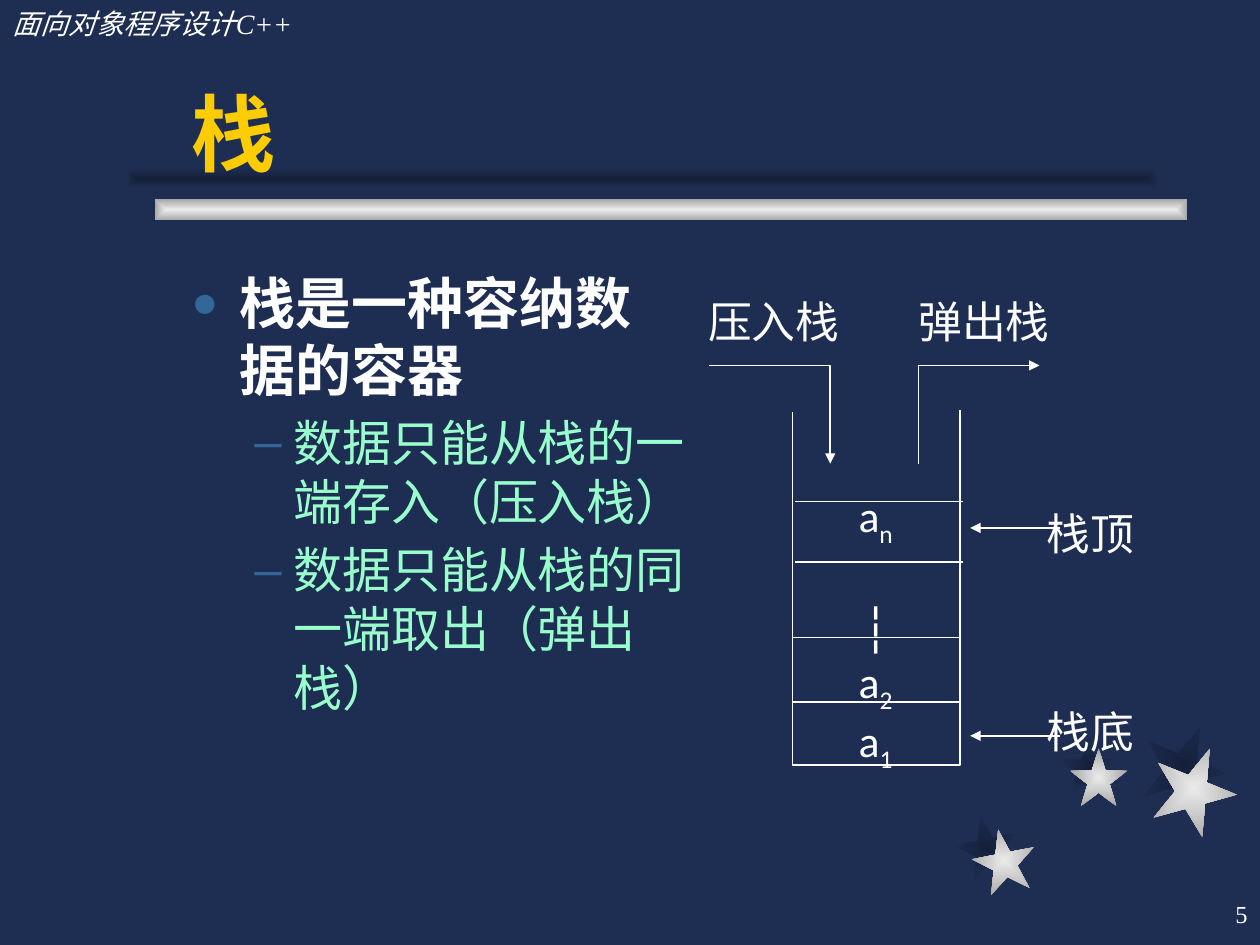
import pptx
import pptx.util
import pptx.dml.color
import pptx.enum.shapes
import pptx.enum.text
import pptx.oxml
import pptx.oxml.ns

Inches, Pt = pptx.util.Inches, pptx.util.Pt
RGBColor = pptx.dml.color.RGBColor
MSO_SHAPE = pptx.enum.shapes.MSO_SHAPE
ALIGN = pptx.enum.text.PP_ALIGN
ANCHOR = pptx.enum.text.MSO_ANCHOR

NAVY = RGBColor(0x1E, 0x2E, 0x53)
DARK = RGBColor(0x15, 0x21, 0x3B)
SILVER = RGBColor(0xEA, 0xEA, 0xEA)
GRAY = RGBColor(0xA7, 0xA7, 0xA7)
WHITE = RGBColor(0xFF, 0xFF, 0xFF)
YELLOW = RGBColor(0xFF, 0xCC, 0x00)
MINT = RGBColor(0x99, 0xFF, 0xCC)
BULLET_BLUE = RGBColor(0x33, 0x66, 0x99)

# Content: an underscore starts a subscript
HEADER, TITLE, PAGE = "面向对象程序设计C++", "栈", "5"
BODY = [
    ("栈是一种容纳数据的容器", 0),
    ("数据只能从栈的一端存入（压入栈）", 1),
    ("数据只能从栈的同一端取出（弹出栈）", 1),
]
LEVELS = [
    dict(size=32, color=WHITE, bold=True, before=6.4, bullet=("●", 80, 0.38, 0.38)),
    dict(size=28, color=MINT, before=5.6, bullet=("–", 100, 0.81, 0.31)),
]
CELLS = [("a_n", 0), ("┆", 30.5), ("a_2", 0), ("a_1", 0)]  # text, gap above
LABELS = [
    ("压入栈", 5.62, 2.34),
    ("弹出栈", 7.29, 2.34),
    ("栈顶", 8.31, 4.02),
    ("栈底", 8.31, 5.59),
]

# Decoration: left, top, size, rotation
SHADOW_STARS = [(7.58, 6.47, 0.5, 349), (8.41, 5.85, 0.46, 0), (9.06, 5.75, 0.67, 22)]
STARS = [(7.72, 6.58, 0.5, 349), (8.49, 5.94, 0.46, 0), (9.14, 5.92, 0.67, 22)]

# Stack geometry
WALL_LEFT, WALL_RIGHT, FLOOR = 6.29, 7.62, 6.07
DIVIDERS = [(3.98, 0.02), (4.46, 0.02), (5.06, 0), (5.57, 0)]  # height, shift
FLOW_TOP, FLOW_BOTTOM, FLOW_WIDTH = 2.9, 3.68, 0.96
POINTER_ROWS = [4.19, 5.84]


def add_xml(parent, xml):
    namespace = pptx.oxml.ns.nsdecls("a")
    parent.append(pptx.oxml.parse_xml(xml.replace("/>", f" {namespace}/>", 1)))


def write_text(paragraph, text, size=25, font="Calibri", color=WHITE, bold=False,
               italic=False, align=ALIGN.LEFT, before=0, bullet=None):
    paragraph.alignment = align
    paragraph.space_before = Pt(before)
    for index, part in enumerate(text.split("_")):
        run = paragraph.add_run()
        run.text = part
        run.font.size, run.font.name = Pt(size), font
        run.font.bold, run.font.italic = bold, italic
        run.font.color.rgb = color
        if index:
            run.font._element.set("baseline", "-25000")
    if bullet:
        mark, percent, margin, hanging = bullet
        properties = paragraph._p.get_or_add_pPr()
        properties.set("marL", str(Inches(margin)))
        properties.set("indent", str(-Inches(hanging)))
        color_element = pptx.oxml.parse_xml(
            f'<a:buClr {pptx.oxml.ns.nsdecls("a")}><a:srgbClr val="{BULLET_BLUE}"/></a:buClr>')
        properties.append(color_element)
        add_xml(properties, f'<a:buSzPct val="{percent * 1000}"/>')
        add_xml(properties, '<a:buFont typeface="Arial"/>')
        add_xml(properties, f'<a:buChar char="{mark}"/>')


def add_text(slide, box, items, anchor=ANCHOR.TOP, inset=True, **common):
    """Add a text box; items are (text, own format) pairs."""
    frame = slide.shapes.add_textbox(*map(Inches, box)).text_frame
    frame.word_wrap, frame.vertical_anchor = True, anchor
    if not inset:
        frame.margin_left = frame.margin_right = frame.margin_top = frame.margin_bottom = 0
    for index, (text, own) in enumerate(items):
        paragraph = frame.add_paragraph() if index else frame.paragraphs[0]
        write_text(paragraph, text, **{**common, **own})


def add_gradient(slide, kind, box, center, edge, rotation=0):
    shape = slide.shapes.add_shape(kind, *map(Inches, box))
    shape.rotation, shape.shadow.inherit = rotation, False
    shape.line.fill.background()
    shape.fill.gradient()
    for stop, color, position in zip(shape.fill.gradient_stops, (center, edge), (0, 1)):
        stop.color.rgb, stop.position = color, position
    gradient = shape._element.spPr.find(pptx.oxml.ns.qn("a:gradFill"))
    gradient.remove(gradient.find(pptx.oxml.ns.qn("a:lin")))
    gradient.append(pptx.oxml.parse_xml(
        f'<a:path {pptx.oxml.ns.nsdecls("a")} path="shape">'
        '<a:fillToRect l="50000" t="50000" r="50000" b="50000"/></a:path>'))


def style_line(shape, arrow):
    shape.line.color.rgb, shape.line.width = WHITE, Pt(1)
    if arrow:
        add_xml(shape.line._get_or_add_ln(), '<a:tailEnd type="triangle"/>')


def add_line(slide, start, end, arrow=False):
    connector = slide.shapes.add_connector(
        pptx.enum.shapes.MSO_CONNECTOR.STRAIGHT, *map(Inches, start + end))
    style_line(connector, arrow)
    add_xml(connector._element.spPr, "<a:effectLst/>")


def add_outline(slide, points, arrow=False):
    points = [(Inches(x), Inches(y)) for x, y in points]
    builder = slide.shapes.build_freeform(*points[0])
    builder.add_line_segments(points[1:], close=False)
    shape = builder.convert_to_shape()
    shape.fill.background()
    shape.shadow.inherit = False
    style_line(shape, arrow)


def main():
    presentation = pptx.Presentation()
    presentation.slide_width, presentation.slide_height = Inches(10), Inches(7.5)
    slide = presentation.slides.add_slide(presentation.slide_layouts[6])
    slide.background.fill.solid()
    slide.background.fill.fore_color.rgb = NAVY

    # Stars and title bars
    for stars, colors in ((SHADOW_STARS, (DARK, NAVY)), (STARS, (SILVER, GRAY))):
        for left, top, size, rotation in stars:
            add_gradient(slide, MSO_SHAPE.STAR_5_POINT, (left, top, size, size),
                         *colors, rotation)
    add_gradient(slide, MSO_SHAPE.RECTANGLE, (1.23, 1.58, 8.19, 0.17), SILVER, GRAY)
    add_gradient(slide, MSO_SHAPE.RECTANGLE, (1, 1.33, 8.19, 0.17), DARK, NAVY)

    # Header, title, body and page number
    add_text(slide, (0, 0, 3.08, 0.37), [(HEADER, {})],
             size=16, font="Times New Roman", italic=True)
    add_text(slide, (1.42, 0.25, 7.83, 1.25), [(TITLE, {})], anchor=ANCHOR.BOTTOM,
             size=48, font="Arial", color=YELLOW, bold=True)
    add_text(slide, (1.42, 2.08, 4.13, 4.5),
             [(text, LEVELS[level]) for text, level in BODY], font="Arial")
    add_text(slide, (7.92, 7, 2.08, 0.5), [(PAGE, {})], anchor=ANCHOR.MIDDLE,
             size=14, font="Times New Roman", align=ALIGN.RIGHT)

    # Stack walls, cells and dividers
    add_outline(slide, [(WALL_LEFT, 3.27), (WALL_LEFT, FLOOR),
                        (WALL_RIGHT, FLOOR), (WALL_RIGHT, 3.25)])
    add_text(slide, (6.35, 3.88, 1.2, 2.1),
             [(text, dict(before=gap)) for text, gap in CELLS],
             inset=False, align=ALIGN.CENTER)
    for y, shift in DIVIDERS:
        add_line(slide, (WALL_LEFT + shift, y), (WALL_RIGHT + shift, y))

    # Push and pop arrows, pointers and labels
    push, pop = 5.63, 7.29
    add_outline(slide, [(push, FLOW_TOP), (push + FLOW_WIDTH, FLOW_TOP),
                        (push + FLOW_WIDTH, FLOW_BOTTOM)], arrow=True)
    add_outline(slide, [(pop, FLOW_BOTTOM), (pop, FLOW_TOP),
                        (pop + FLOW_WIDTH, FLOW_TOP)], arrow=True)
    for y in POINTER_ROWS:
        add_line(slide, (8.41, y), (7.7, y), arrow=True)
    for text, left, top in LABELS:
        add_text(slide, (left, top, 1.2, 0.48), [(text, {})],
                 inset=False, align=ALIGN.JUSTIFY)

    presentation.save("out.pptx")


if __name__ == "__main__":
    main()
